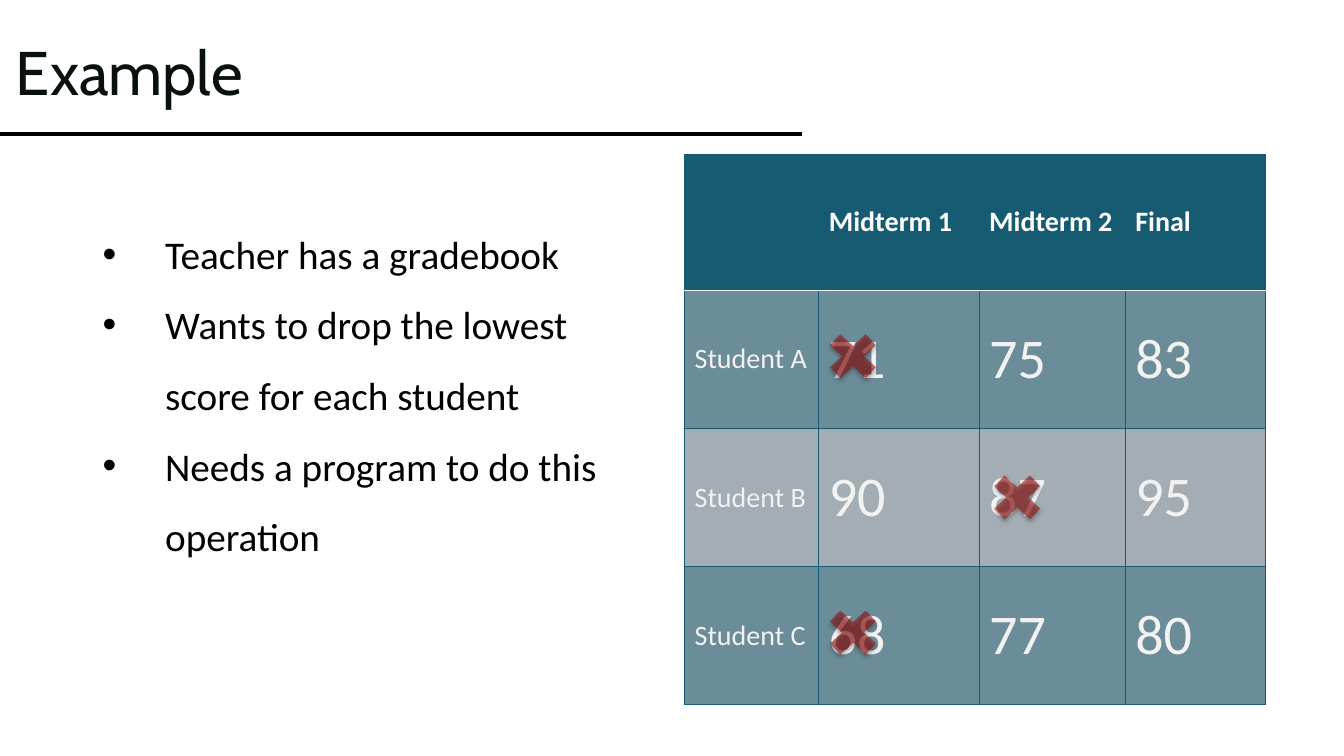
from dataclasses import dataclass
from itertools import product
from lxml.etree import SubElement as Sub
from pptx import Presentation
from pptx.dml.color import RGBColor as Rgb
from pptx.enum.shapes import MSO_CONNECTOR as Link, MSO_SHAPE as Shape
from pptx.enum.text import MSO_ANCHOR as Anchor
from pptx.oxml.ns import qn
from pptx.util import Inches, Pt

WIDE, HIGH = Inches(13.33), Inches(7.5)


@dataclass(frozen=True)
class Theme:
    ink: str = "000000"
    title: str = "08110B"
    teal: str = "175B73"
    band: str = "6B8C99"
    gray: str = "A3ADB3"
    white: str = "FFFFFF"
    pale: str = "F2F2F2"
    red: str = "9A0707"
    head: str = "Cabin"
    body: str = "Calibri"
    huge: int = 44
    score: int = 40
    text: int = 28
    label: int = 20


THEME = Theme()
POINTS = [
    "Teacher has a gradebook",
    "Wants to drop the lowest score for each student",
    "Needs a program to do this operation",
]
GRADES = [
    ["", "Midterm 1", "Midterm 2", "Final"],
    ["Student A", "71", "75", "83"],
    ["Student B", "90", "87", "95"],
    ["Student C", "68", "77", "80"],
]
LEFT, TOP = 50.94, 20.4
COLS = [9.98, 11.93, 10.88, 10.43]
ROWS = [18, 18.27, 18.27, 18.27]
DROPS = [(1, 1, 0, 4.53), (2, 2, 0.29, 4.93), (3, 1, 0, 4.53)]


def across(share):
    return round(WIDE * share / 100)


def down(share):
    return round(HIGH * share / 100)


def area(left, top, width, height):
    return across(left), down(top), across(width), down(height)


def apply(item, form):
    for key, value in form.items():
        setattr(item, key, value)


def write(para, text, color, **form):
    run = para.add_run()
    run.text = text
    apply(run.font, form)
    run.font.color.rgb = Rgb.from_string(color)


def add_text(slide, box, lines, color, anchor, gap, bullet=False, **form):
    frame = slide.shapes.add_textbox(*area(*box)).text_frame
    apply(frame, {"word_wrap": True, "vertical_anchor": anchor})
    for num, line in enumerate(lines):
        para = frame.add_paragraph() if num else frame.paragraphs[0]
        para.line_spacing = gap
        if bullet:
            props = para._p.get_or_add_pPr()
            props.set("marL", str(Inches(0.62)))
            props.set("indent", str(Inches(-0.62)))
            Sub(props, qn("a:buFont"), typeface="Arial")
            Sub(props, qn("a:buChar"), char="•")
        write(para, line, color, **form)


def add_rule(slide, end, top):
    rule = slide.shapes.add_connector(
        Link.STRAIGHT, 0, down(top), across(end), down(top))
    rule.line.color.rgb = Rgb.from_string(THEME.ink)
    rule.line.width = Pt(2.25)
    Sub(rule._element.spPr, qn("a:effectLst"))


def add_edge(cell, side, color, width):
    edge = Sub(cell._tc.get_or_add_tcPr(), qn(f"a:ln{side}"), w=str(Pt(width)))
    Sub(Sub(edge, qn("a:solidFill")), qn("a:srgbClr"), val=color)


def fill_cell(cell, row, col):
    head = row == 0
    cell.vertical_anchor = Anchor.MIDDLE
    for side in "LRTB":
        light = (row, side) in [(0, "B"), (1, "T")]
        add_edge(cell, side, *((THEME.white, 0.85) if light else (THEME.teal, 0.75)))
    cell.fill.solid()
    shade = THEME.teal if head else THEME.band if row % 2 else THEME.gray
    cell.fill.fore_color.rgb = Rgb.from_string(shade)
    if GRADES[row][col]:
        size = THEME.label if head or col == 0 else THEME.score
        write(cell.text_frame.paragraphs[0], GRADES[row][col],
              THEME.white if head else THEME.pale,
              name=THEME.body, size=Pt(size), bold=head)


def add_grid(slide):
    table = slide.shapes.add_table(
        len(ROWS), len(COLS), *area(LEFT, TOP, sum(COLS), sum(ROWS))).table
    for col, share in zip(table.columns, COLS):
        col.width = across(share)
    for row, share in zip(table.rows, ROWS):
        row.height = down(share)
    for row, col in product(range(len(ROWS)), range(len(COLS))):
        fill_cell(table.cell(row, col), row, col)


def add_cross(slide, row, col, right, drop):
    left = LEFT + sum(COLS[:col]) + right
    top = TOP + sum(ROWS[:row]) + drop
    cross = slide.shapes.add_shape(Shape.MATH_MULTIPLY, *area(left, top, 5.1, 8.4))
    cross.fill.solid()
    cross.fill.fore_color.rgb = Rgb.from_string(THEME.red)
    cross.line.fill.background()
    cross.shadow.inherit = False
    props = cross._element.spPr
    tint = props.find(qn("a:solidFill")).find(qn("a:srgbClr"))
    Sub(tint, qn("a:alpha"), val="54000")
    shade = Sub(props.find(qn("a:effectLst")), qn("a:outerShdw"),
                blurRad=str(Pt(3)), dist=str(Pt(2)), dir="5400000", rotWithShape="0")
    Sub(Sub(shade, qn("a:srgbClr"), val=THEME.ink), qn("a:alpha"), val="50000")


def main():
    deck = Presentation()
    apply(deck, {"slide_width": WIDE, "slide_height": HIGH})
    slide = deck.slides.add_slide(deck.slide_layouts[6])
    add_rule(slide, 59.71, 17.73)
    add_text(slide, (6.9, 26.67, 42.53, 63.47), POINTS, THEME.ink, Anchor.TOP, 1.5,
             bullet=True, name=THEME.body, size=Pt(THEME.text))
    add_text(slide, (0.45, 0.4, 56.34, 19.33), ["Example"], THEME.title,
             Anchor.MIDDLE, 0.9, name=THEME.head, size=Pt(THEME.huge))
    add_grid(slide)
    for drop in DROPS:
        add_cross(slide, *drop)
    deck.save("out.pptx")


if __name__ == "__main__":
    main()
